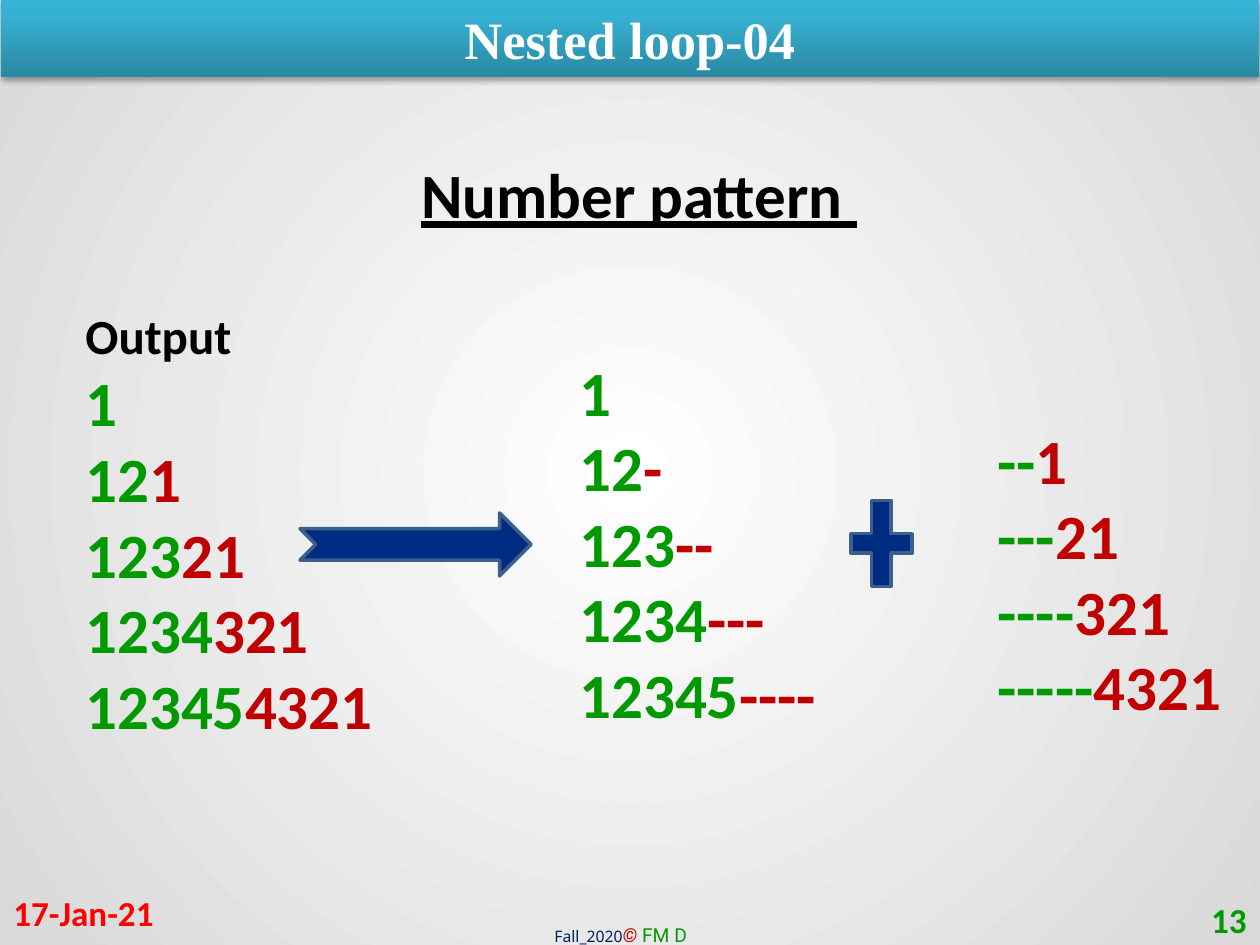
"""Build the slide that splits a nested-loop number pattern into two halves."""
import lxml.etree
import pptx
import pptx.dml.color
import pptx.enum.shapes
import pptx.enum.text
import pptx.oxml
import pptx.oxml.ns
import pptx.util

PX = 914400 / 126
BLACK = pptx.dml.color.RGBColor(0x00, 0x00, 0x00)
WHITE = pptx.dml.color.RGBColor(0xFF, 0xFF, 0xFF)
GREEN = pptx.dml.color.RGBColor(0x00, 0x99, 0x00)
CRIMSON = pptx.dml.color.RGBColor(0xC0, 0x00, 0x00)
RED = pptx.dml.color.RGBColor(0xFF, 0x00, 0x00)
INK = pptx.dml.color.RGBColor(0x00, 0x20, 0x60)
NAVY = pptx.dml.color.RGBColor(0x00, 0x2B, 0x82)
OUTLINE = pptx.dml.color.RGBColor(0x3A, 0x5F, 0x8C)
PALE = pptx.dml.color.RGBColor(0xD9, 0xD9, 0xD9)
TEAL_DARK = pptx.dml.color.RGBColor(0x2A, 0x88, 0xA2)
TEAL_MID = pptx.dml.color.RGBColor(0x37, 0xB1, 0xD2)
TEAL = pptx.dml.color.RGBColor(0x34, 0xB4, 0xD6)
ALIGN = pptx.enum.text.PP_ALIGN
ANCHOR = pptx.enum.text.MSO_ANCHOR
SHAPE = pptx.enum.shapes.MSO_SHAPE
NAMESPACE = pptx.oxml.ns.nsdecls("a")


def set_gradient(element, stops, direction):
    """Replace the solid fill inside an element with a gradient."""
    marks = "".join(
        f'<a:gs pos="{percent * 1000}"><a:srgbClr val="{color}"/></a:gs>'
        for percent, color in stops)
    solid = element.find(".//" + pptx.oxml.ns.qn("a:solidFill"))
    solid.getparent().replace(solid, pptx.oxml.parse_xml(
        f'<a:gradFill {NAMESPACE} rotWithShape="1"><a:gsLst>{marks}</a:gsLst>'
        f'{direction}</a:gradFill>'))


def add_text(slide, bounds, lines, align=ALIGN.LEFT, anchor=ANCHOR.TOP):
    """Add a text box whose lines are lists of (text, size, color) spans."""
    box = slide.shapes.add_textbox(*[round(value * PX) for value in bounds])
    frame = box.text_frame
    frame.word_wrap = True
    frame.vertical_anchor = anchor
    for index, line in enumerate(lines):
        para = frame.add_paragraph() if index else frame.paragraphs[0]
        para.alignment = align
        for text, size, color in line:
            span = para.add_run()
            span.text = text
            span.font.name = "Calibri"
            span.font.size = pptx.util.Pt(size)
            span.font.bold = True
            span.font.color.rgb = color
    return box


deck = pptx.Presentation()
deck.slide_width = round(1260 * PX)
deck.slide_height = round(945 * PX)
page = deck.slides.add_slide(deck.slide_layouts.get_by_name("Title Only"))

page.background.fill.solid()
set_gradient(page.element, [(0, WHITE), (100, PALE)],
             '<a:path path="circle"><a:fillToRect l="50000" t="50000" '
             'r="50000" b="50000"/></a:path>')

footer = add_text(page, (542, 917, 158, 37), [
    [("Fall_2020", 9, INK), ("© ", 11, CRIMSON), ("FM D", 11, GREEN)]])
footer.text_frame.word_wrap = False
spans = footer.text_frame.paragraphs[0].runs
for span, font in zip(spans, ("Noto Sans", "Roboto", "Roboto")):
    span.font.name = font
    span.font.bold = False
spans[1].font.italic = True

title = page.shapes.title
title.left, title.top, title.width, title.height = [
    round(value * PX) for value in (1, 0, 1258, 77)]
title.fill.solid()
set_gradient(title.element.spPr,
             [(0, TEAL_DARK), (80, TEAL_MID), (100, TEAL)],
             '<a:lin ang="16200000" scaled="0"/>')
title.shadow.inherit = False
title.element.spPr.find(pptx.oxml.ns.qn("a:effectLst")).append(
    pptx.oxml.parse_xml(
        f'<a:outerShdw {NAMESPACE} blurRad="40000" dist="23000" dir="5400000" '
        f'rotWithShape="0"><a:srgbClr val="{BLACK}"><a:alpha val="35000"/>'
        '</a:srgbClr></a:outerShdw>'))
title.text_frame.text = "Nested loop-04"
title.text_frame.auto_size = pptx.enum.text.MSO_AUTO_SIZE.NONE
title.text_frame.vertical_anchor = ANCHOR.MIDDLE
title.text_frame.paragraphs[0].alignment = ALIGN.CENTER
span = title.text_frame.paragraphs[0].runs[0]
span.font.name = "Times New Roman"
span.font.size = pptx.util.Pt(30)
span.font.bold = True
span.font.color.rgb = WHITE

add_text(page, (1, 887, 294, 50), [[("17-Jan-21", 20, RED)]],
         anchor=ANCHOR.MIDDLE)
add_text(page, (965, 895, 294, 50), [[("13", 20, GREEN)]],
         ALIGN.RIGHT, ANCHOR.MIDDLE)
heading = add_text(page, (18, 149, 1242, 89),
                   [[("Number pattern ", 36, BLACK)]], ALIGN.CENTER)
heading.text_frame.paragraphs[0].runs[0].font.underline = True

output = [[("Output", 28, BLACK)], [("1", 36, GREEN)]]
rising = [[("1", 36, GREEN)]]
falling = []
for row in range(2, 6):
    head = "12345"[:row]
    tail = "4321"[5 - row:]
    output.append([(head, 36, GREEN), (tail, 36, CRIMSON)])
    rising.append([(head, 36, GREEN), ("-" * (row - 1), 36, CRIMSON)])
    falling.append([("-" * row, 36, GREEN), (tail, 36, CRIMSON)])
add_text(page, (73, 299, 347, 453), output)
add_text(page, (567, 347, 273, 394), rising)
add_text(page, (985, 415, 305, 318), falling)

for kind, bounds in ((SHAPE.NOTCHED_RIGHT_ARROW, (300, 513, 231, 63)),
                     (SHAPE.MATH_PLUS, (840, 485, 83, 117))):
    symbol = page.shapes.add_shape(
        kind, *[round(value * PX) for value in bounds])
    symbol.shadow.inherit = False
    symbol.fill.solid()
    symbol.fill.fore_color.rgb = NAVY
    symbol.line.color.rgb = OUTLINE
    symbol.line.width = pptx.util.Pt(2)

deck.save("out.pptx")
